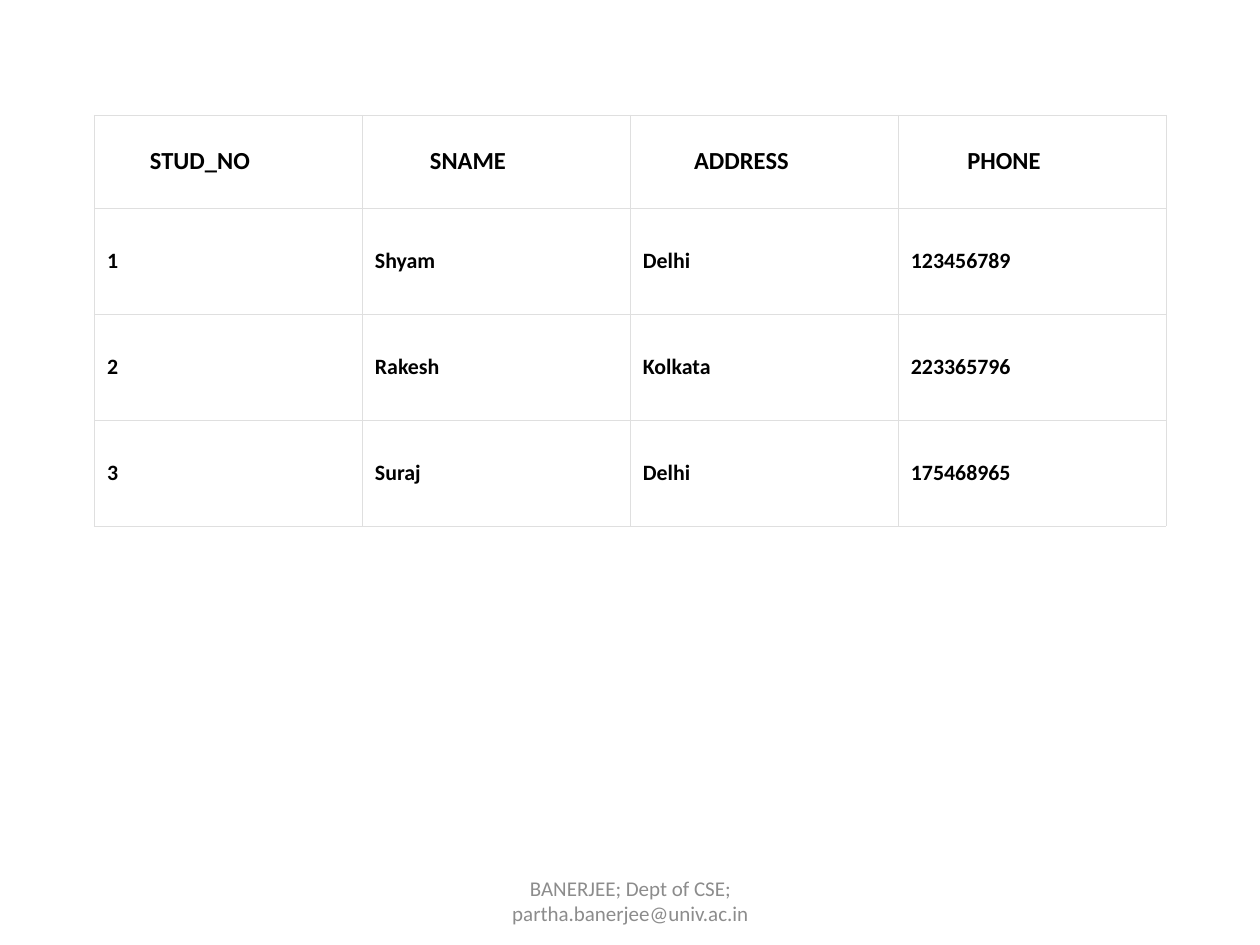
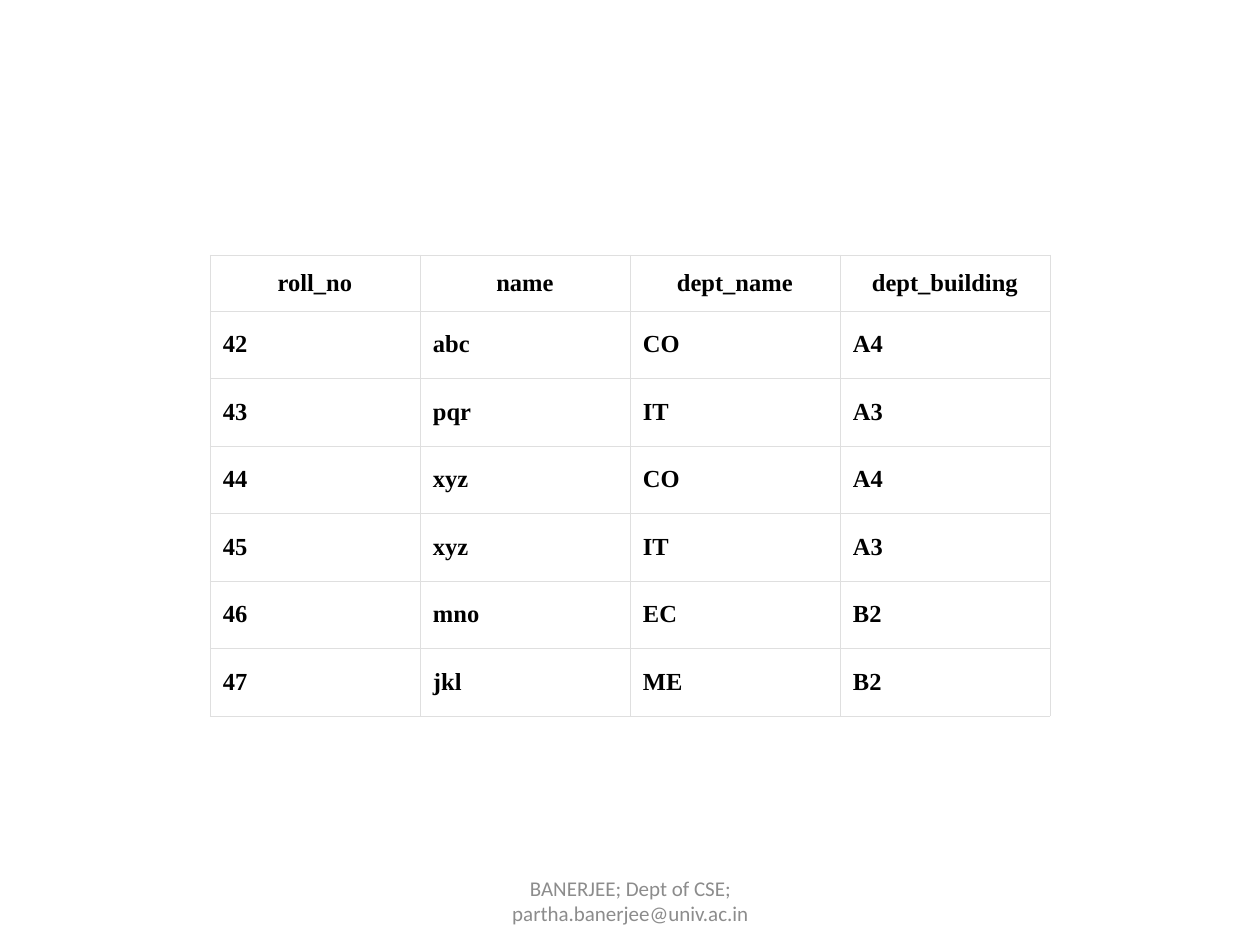
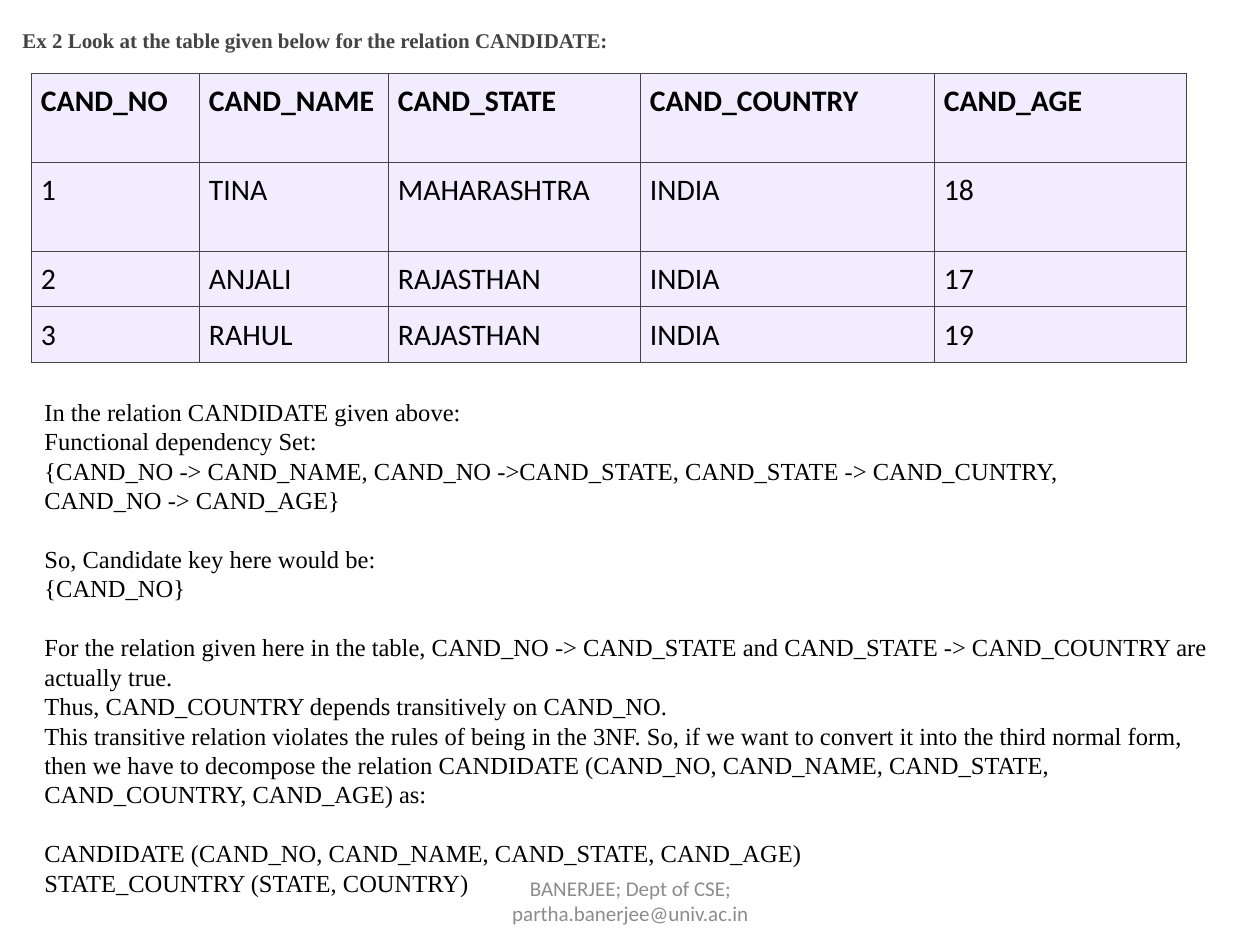
from lxml import etree
from pptx import Presentation
from pptx.dml.color import RGBColor
from pptx.enum.text import MSO_ANCHOR, PP_ALIGN
from pptx.oxml.ns import qn
from pptx.util import Emu, Pt

TOP, MIDDLE = MSO_ANCHOR.TOP, MSO_ANCHOR.MIDDLE
LEFT, CENTER = PP_ALIGN.LEFT, PP_ALIGN.CENTER

PX_PER_INCH = 126
SLIDE_SIZE = (1260, 945)
COLORS = {"text": "000000", "heading": "444444", "footer": "8C8C8C", "white": "FFFFFF",
          "lavender": "F1EDFF", "light_rule": "DFDFDF", "dark_rule": "444444"}
SANS, SERIF = "Calibri", "Times New Roman"

FOOTER = "BANERJEE; Dept of CSE; partha.banerjee@univ.ac.in"
FOOTER_BOX = (431, 876, 399, 50)

PLAIN_GRID = {"fill": "white", "rule": "light_rule", "rule_width": 0.23, "anchor": MIDDLE,
              "header_align": CENTER, "insets": (13, 19), "header_insets": (13, 13),
              "body_bold": True}

STUDENTS = PLAIN_GRID | {
    "rows": [("STUD_NO", "SNAME", "ADDRESS", "PHONE"),
             ("1", "Shyam", "Delhi", "123456789"),
             ("2", "Rakesh", "Kolkata", "223365796"),
             ("3", "Suraj", "Delhi", "175468965")],
    "at": (94, 115), "columns": [268] * 4, "heights": [93] + [106] * 3,
    "font": SANS, "header_size": 14, "body_size": 12.5,
    "header_shifts": (56, 56, 45, 56)}

ROLLS = PLAIN_GRID | {
    "rows": [("roll_no", "name", "dept_name", "dept_building"),
             ("42", "abc", "CO", "A4"),
             ("43", "pqr", "IT", "A3"),
             ("44", "xyz", "CO", "A4"),
             ("45", "xyz", "IT", "A3"),
             ("46", "mno", "EC", "B2"),
             ("47", "jkl", "ME", "B2")],
    "at": (210, 255), "columns": [210] * 4, "heights": [56] + [66] * 6,
    "font": SERIF, "header_size": 14, "body_size": 14,
    "header_shifts": (0, 0, 0, 0)}

CANDIDATES = {
    "rows": [("CAND_NO", "CAND_NAME", "CAND_STATE", "CAND_COUNTRY", "CAND_AGE"),
             ("1", "TINA", "MAHARASHTRA", "INDIA", "18"),
             ("2", "ANJALI", "RAJASTHAN", "INDIA", "17"),
             ("3", "RAHUL", "RAJASTHAN", "INDIA", "19")],
    "at": (31, 73), "columns": [168, 189, 252, 294, 252], "heights": [89, 89, 55, 55],
    "font": SANS, "header_size": 17, "body_size": 17,
    "fill": "lavender", "rule": "dark_rule", "rule_width": 0.38, "anchor": TOP,
    "header_align": LEFT, "insets": (10, 10), "header_insets": (10, 10),
    "body_bold": False, "header_shifts": (0, 0, 0, 0, 0)}

EXAMPLE_HEADING = "Ex 2 Look at the table given below for the relation CANDIDATE:"
HEADING_BOX = (10, 21, 617, 38)
EXPLANATION_BOX = (32, 388, 1203, 518)
EXPLANATION_LEADING = 16.8
EXPLANATION = [
    ["In the relation CANDIDATE given above:",
     "Functional dependency Set:",
     "{CAND_NO -> CAND_NAME, CAND_NO ->CAND_STATE, CAND_STATE -> CAND_CUNTRY,",
     "CAND_NO -> CAND_AGE}"],
    ["So, Candidate key here would be:",
     "{CAND_NO}"],
    ["For the relation given here in the table, CAND_NO -> CAND_STATE and "
     "CAND_STATE -> CAND_COUNTRY are",
     "actually true.",
     "Thus, CAND_COUNTRY depends transitively on CAND_NO.",
     "This transitive relation violates the rules of being in the 3NF. So, if we want to "
     "convert it into the third normal form,",
     "then we have to decompose the relation CANDIDATE (CAND_NO, CAND_NAME, CAND_STATE,",
     "CAND_COUNTRY, CAND_AGE) as:"],
    ["CANDIDATE (CAND_NO, CAND_NAME, CAND_STATE, CAND_AGE)",
     "STATE_COUNTRY (STATE, COUNTRY)"],
]


def px(length):
    return Emu(round(length * 914400 / PX_PER_INCH))


def style_text(frame, font, size, color, bold=False, align=LEFT):
    for paragraph in frame.paragraphs:
        paragraph.alignment = align
        for run in paragraph.runs:
            run.font.name = font
            run.font.size = Pt(size)
            run.font.bold = bold
            run.font.color.rgb = RGBColor.from_string(COLORS[color])


def add_text(slide, box, text, font, size, color, **style):
    frame = slide.shapes.add_textbox(*map(px, box)).text_frame
    frame.word_wrap = True
    frame.vertical_anchor = MIDDLE
    frame.text = text
    style_text(frame, font, size, color, **style)
    return frame


def add_borders(cell, color, width):
    properties = cell._tc.get_or_add_tcPr()
    for position, side in enumerate(("lnL", "lnR", "lnT", "lnB")):
        line = etree.Element(qn(f"a:{side}"), w=str(Pt(width)))
        fill = etree.SubElement(line, qn("a:solidFill"))
        etree.SubElement(fill, qn("a:srgbClr"), val=COLORS[color])
        properties.insert(position, line)


def add_grid(slide, grid):
    rows, columns, heights = grid["rows"], grid["columns"], grid["heights"]
    box = (*grid["at"], sum(columns), sum(heights))
    table = slide.shapes.add_table(len(rows), len(columns), *map(px, box)).table
    table.first_row = table.horz_banding = False
    for column, width in zip(table.columns, columns):
        column.width = px(width)
    for r, (row, height) in enumerate(zip(rows, heights)):
        table.rows[r].height = px(height)
        is_header = r == 0
        side, edge = grid["header_insets" if is_header else "insets"]
        for c, value in enumerate(row):
            cell = table.cell(r, c)
            cell.text = value
            cell.vertical_anchor = grid["anchor"]
            cell.margin_left = px(side)
            cell.margin_right = px(side + (grid["header_shifts"][c] if is_header else 0))
            cell.margin_top = cell.margin_bottom = px(edge)
            cell.fill.solid()
            cell.fill.fore_color.rgb = RGBColor.from_string(COLORS[grid["fill"]])
            add_borders(cell, grid["rule"], grid["rule_width"])
            style_text(cell.text_frame, grid["font"],
                       grid["header_size" if is_header else "body_size"], "text",
                       bold=is_header or grid["body_bold"],
                       align=grid["header_align"] if is_header else LEFT)


def add_explanation(slide):
    lines = [line for block in EXPLANATION for line in block]
    frame = add_text(slide, EXPLANATION_BOX, "\n".join(lines), SERIF, 14, "text")
    block_starts = [block[0] for block in EXPLANATION[1:]]
    for paragraph in frame.paragraphs:
        paragraph.line_spacing = Pt(EXPLANATION_LEADING)
        if paragraph.text in block_starts:
            paragraph.space_before = Pt(EXPLANATION_LEADING)


def main():
    deck = Presentation()
    deck.slide_width, deck.slide_height = map(px, SLIDE_SIZE)
    for grid in (STUDENTS, ROLLS, CANDIDATES):
        slide = deck.slides.add_slide(deck.slide_layouts[6])
        add_text(slide, FOOTER_BOX, FOOTER, SANS, 12, "footer", align=CENTER)
        add_grid(slide, grid)
    add_text(slide, HEADING_BOX, EXAMPLE_HEADING, SERIF, 12, "heading", bold=True)
    add_explanation(slide)
    deck.save("out.pptx")


if __name__ == "__main__":
    main()
